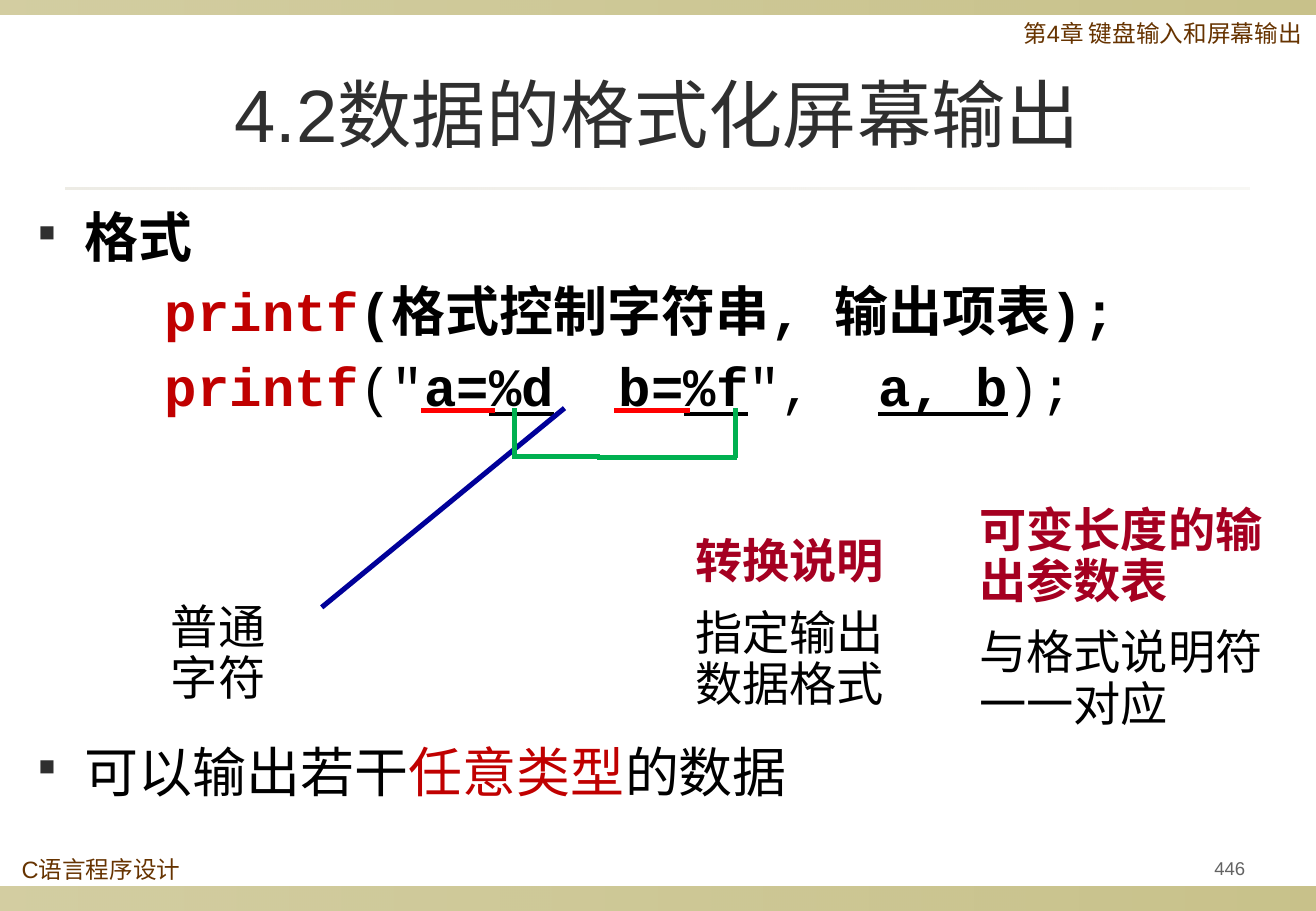
import pptx
import pptx.util
import pptx.dml.color
import pptx.enum.shapes
import pptx.enum.text
import pptx.oxml.ns
from lxml import etree

Inches, Pt = pptx.util.Inches, pptx.util.Pt
RGBColor = pptx.dml.color.RGBColor
qn = pptx.oxml.ns.qn
ALIGN = pptx.enum.text.PP_ALIGN

OLIVE = RGBColor(0x91, 0x84, 0x15)
SAND = RGBColor(0xDC, 0xD9, 0xCC)
BROWN = RGBColor(0x66, 0x33, 0x00)
CHARCOAL = RGBColor(0x2F, 0x2F, 0x2F)
GRAY = RGBColor(0x63, 0x63, 0x63)
BLACK = RGBColor(0x00, 0x00, 0x00)
CRIMSON = RGBColor(0xC0, 0x00, 0x00)
MAROON = RGBColor(0xA5, 0x00, 0x21)
RED = RGBColor(0xFF, 0x00, 0x00)
NAVY = RGBColor(0x00, 0x00, 0x99)
GREEN = RGBColor(0x00, 0xB0, 0x50)
CJK_FONT = "Noto Sans CJK SC"


def add_box(left, top, width, height, wrap=True):
    box = page.shapes.add_textbox(Inches(left), Inches(top), Inches(width), Inches(height))
    box.text_frame.word_wrap = wrap
    return box.text_frame


def add_span(para, text, size, color, font="Arial", bold=False, underline=False):
    span = para.add_run()
    span.text = text
    span.font.size = Pt(size)
    span.font.name = font
    span.font.bold = bold
    span.font.underline = underline
    span.font.color.rgb = color
    etree.SubElement(span.font._element, qn("a:ea"), typeface=CJK_FONT)


deck = pptx.Presentation()
deck.slide_width, deck.slide_height = Inches(10.84), Inches(7.5)
page = deck.slides.add_slide(deck.slide_layouts[6])

# Bands at the edges and the rule under the title
for left, top, width, height, color, opacities in [
    (0, 7.3, 10.84, 0.2, OLIVE, (40, 50)),
    (0, 0, 10.84, 0.12, OLIVE, (40, 50)),
    (0.54, 1.54, 9.75, 0.02, SAND, (50, 20)),
]:
    band = page.shapes.add_shape(
        pptx.enum.shapes.MSO_SHAPE.RECTANGLE,
        Inches(left), Inches(top), Inches(width), Inches(height))
    band.shadow.inherit = False
    band.line.fill.background()
    band.fill.gradient()
    band.fill.gradient_angle = 0
    for stop in band.fill.gradient_stops:
        stop.color.rgb = color
    for tint, opacity in zip(band.element.iter(qn("a:srgbClr")), opacities):
        etree.SubElement(tint, qn("a:alpha"), val=str(opacity * 1000))

# Chapter and course labels
for left, top, width, label in [
    (8.33, 0.12, 2.68, "第4章 键盘输入和屏幕输出"),
    (0.08, 7, 1.64, "C语言程序设计"),
]:
    para = add_box(left, top, width, 0.39, wrap=False).paragraphs[0]
    para.line_spacing = Pt(16)
    add_span(para, label, 14, BROWN)

# Title and page number
for left, top, width, height, label, size, color in [
    (0.54, 0.3, 9.75, 1.25, "4.2数据的格式化屏幕输出", 44, CHARCOAL),
    (9.59, 6.99, 1.08, 0.31, "446", 11, GRAY),
]:
    frame = add_box(left, top, width, height)
    frame.vertical_anchor = pptx.enum.text.MSO_ANCHOR.MIDDLE
    frame.paragraphs[0].alignment = ALIGN.CENTER
    add_span(frame.paragraphs[0], label, size, color)

# Bullets, the first one followed by the printf lines
syntax = [("printf", CRIMSON, True, False), ("(格式控制字符串, 输出项表);", BLACK, True, False)]
example = [
    ("printf", CRIMSON, True, False),
    ('("', BLACK, False, False),
    ("a=", BLACK, True, False),
    ("%d", BLACK, True, True),
    ("  b=", BLACK, True, False),
    ("%f", BLACK, True, True),
    ('",  ', BLACK, False, False),
    ("a, b", BLACK, True, True),
    (");", BLACK, False, False),
]
any_type = [
    ("可以输出若干", BLACK, False, False),
    ("任意类型", CRIMSON, False, False),
    ("的数据", BLACK, False, False),
]
for top, height, bullet, code_lines in [
    (1.55, 2, [("格式", BLACK, True, False)], [syntax, example]),
    (5.95, 0.75, any_type, []),
]:
    frame = add_box(0.22, top, 10.02, height)
    for index, spans in enumerate([bullet] + code_lines):
        para = frame.add_paragraph() if index else frame.paragraphs[0]
        para.line_spacing = Pt(44)
        props = para._p.get_or_add_pPr()
        if index:
            props.set("marL", str(Inches(1.04)))
        else:
            props.set("marL", str(Inches(0.38)))
            props.set("indent", str(Inches(-0.38)))
            bullet_color = etree.SubElement(props, qn("a:buClr"))
            etree.SubElement(bullet_color, qn("a:srgbClr"), val=str(CHARCOAL))
            etree.SubElement(props, qn("a:buSzPct"), val="42000")
            etree.SubElement(props, qn("a:buChar"), char="■")
        font = "Courier New" if index else "Times New Roman"
        for text, color, bold, underline in spans:
            add_span(para, text, 32, color, font, bold, underline)

# Explanations of the parts of the call
for left, top, width, height, heading, detail in [
    (7.97, 4.11, 2.56, 1.95, "可变长度的输出参数表", "与格式说明符一一对应"),
    (1.31, 4.91, 1.26, 0.94, None, "普通字符"),
    (5.63, 4.37, 2.12, 1.53, "转换说明", "指定输出数据格式"),
]:
    frame = add_box(left, top, width, height)
    para = frame.paragraphs[0]
    para.line_spacing = Pt(30.5)
    if heading:
        add_span(para, heading, 28, MAROON, CJK_FONT, bold=True)
        para = frame.add_paragraph()
        para.line_spacing = Pt(30.5)
        para.space_before = Pt(11.8)
    add_span(para, detail, 28, BLACK, CJK_FONT)

# Red underlines, blue pointer and green bracket
for x1, y1, x2, y2, color in [
    (3.47, 3.38, 4.08, 3.38, RED),
    (5.06, 3.38, 5.68, 3.38, RED),
    (4.65, 3.36, 2.65, 5, NAVY),
    (4.24, 3.36, 4.24, 3.78, GREEN),
    (4.24, 3.76, 4.94, 3.76, GREEN),
    (6.06, 3.36, 6.06, 3.77, GREEN),
    (6.07, 3.77, 4.92, 3.77, GREEN),
]:
    line = page.shapes.add_connector(
        pptx.enum.shapes.MSO_CONNECTOR.STRAIGHT,
        Inches(x1), Inches(y1), Inches(x2), Inches(y2))
    line.line.color.rgb = color
    line.line.width = Pt(3)
    etree.SubElement(line.element.spPr, qn("a:effectLst"))

deck.save("out.pptx")
